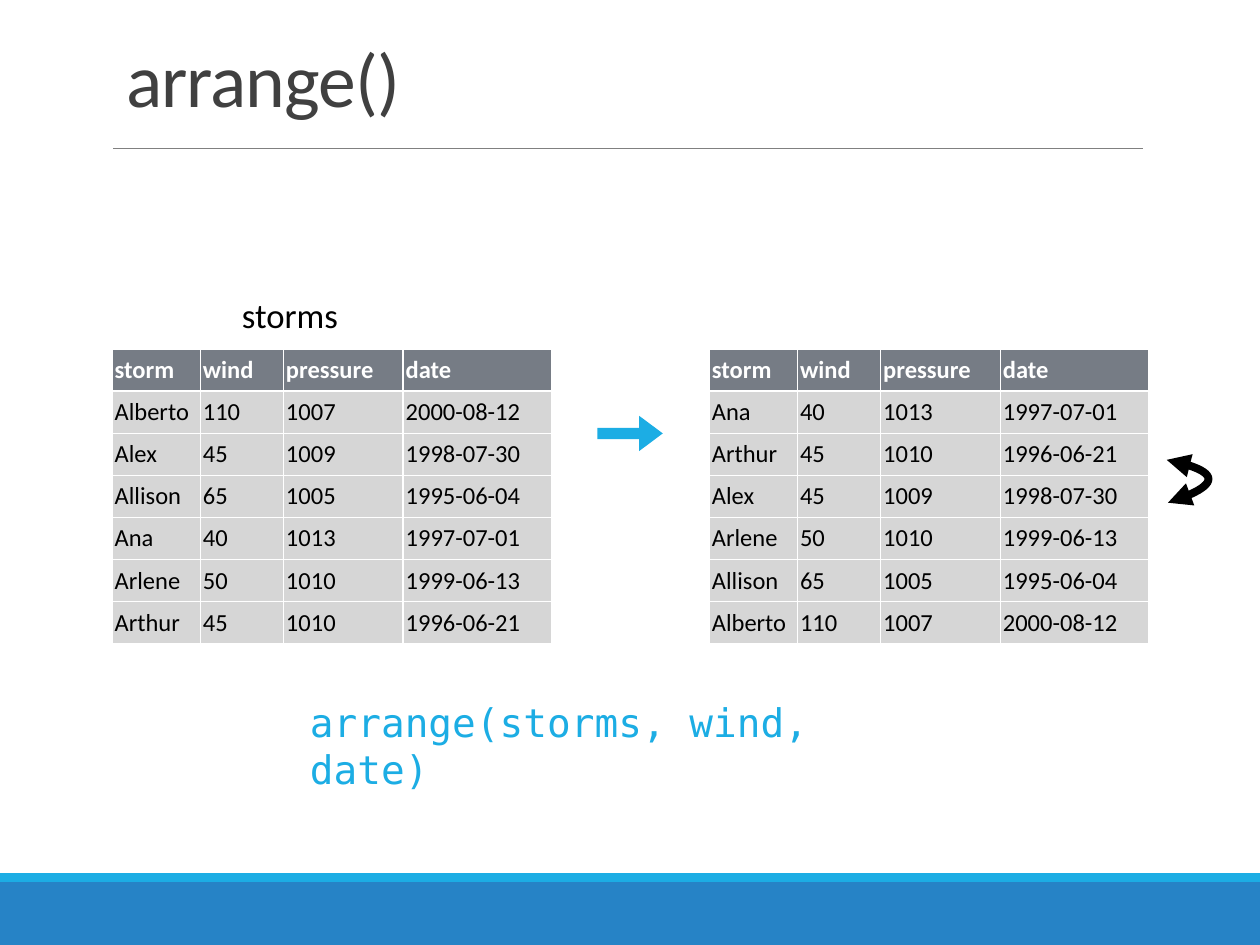
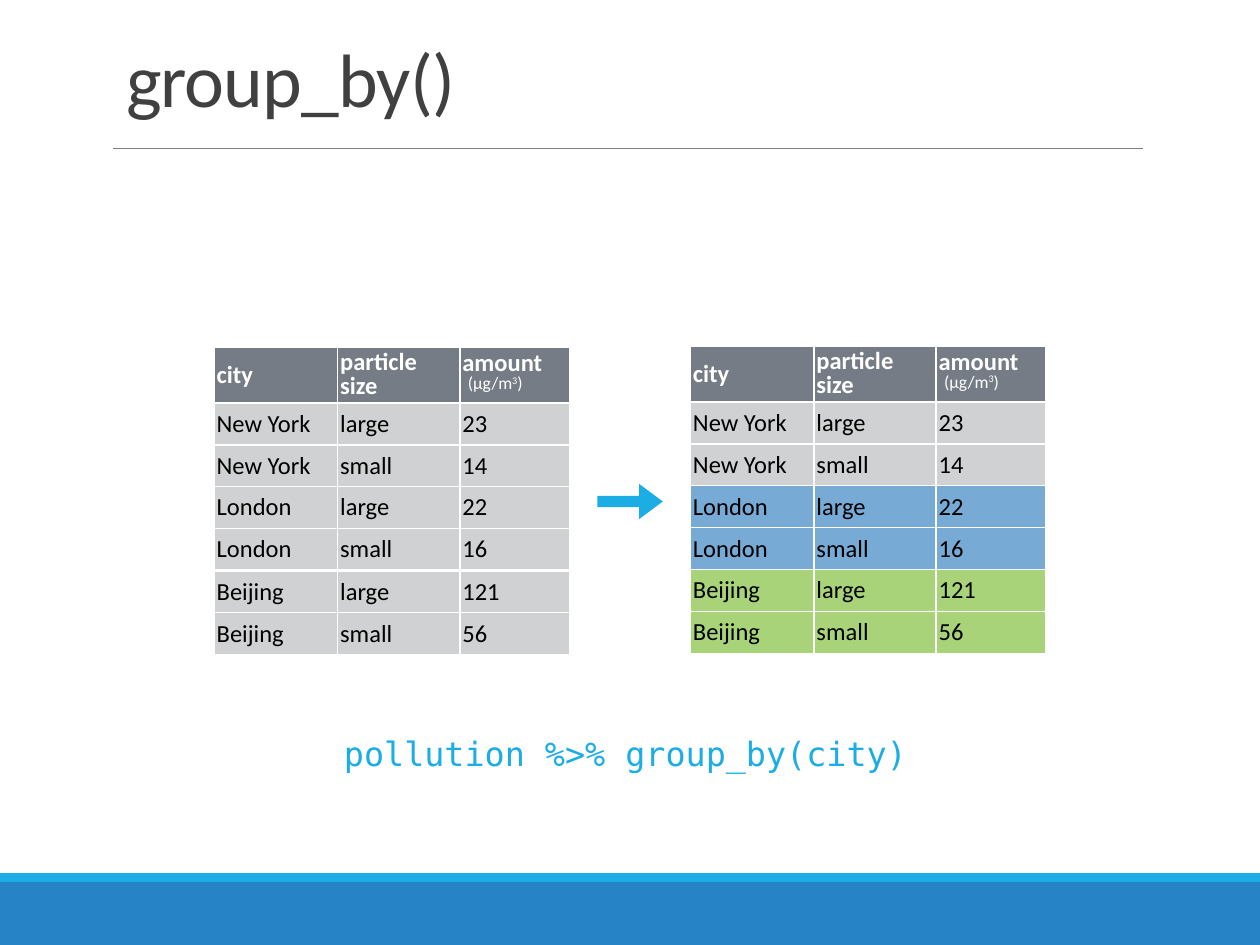
import dataclasses
import typing

import lxml.etree
import pptx
import pptx.dml.color
import pptx.enum.shapes
import pptx.enum.text
import pptx.oxml.ns
import pptx.util

RGBColor = pptx.dml.color.RGBColor
Pt = pptx.util.Pt
Anchor = pptx.enum.text.MSO_ANCHOR
Align = pptx.enum.text.PP_ALIGN
Preset = pptx.enum.shapes.MSO_SHAPE
qn = pptx.oxml.ns.qn

WHITE = RGBColor(0xFF, 0xFF, 0xFF)
BLACK = RGBColor(0, 0, 0)
TITLE_GREY = RGBColor(0x40, 0x40, 0x40)
RULE_GREY = RGBColor(0x80, 0x80, 0x80)
BAND_BLUE = RGBColor(0x26, 0x83, 0xC6)
ACCENT_BLUE = RGBColor(0x1C, 0xAD, 0xE4)
HEADER_SLATE = RGBColor(0x76, 0x7C, 0x85)
STORM_GREY = RGBColor(0xD6, 0xD6, 0xD6)
CITY_GREY = RGBColor(0xD0, 0xD1, 0xD2)
LONDON_BLUE = RGBColor(0x78, 0xAA, 0xD6)
BEIJING_GREEN = RGBColor(0xA8, 0xD3, 0x79)

SLIDE_WIDTH = pptx.util.Inches(10)
SLIDE_HEIGHT = pptx.util.Inches(7.5)
COLUMN = SLIDE_WIDTH / 100
ROW = SLIDE_HEIGHT / 75
BODY_FONT = "Calibri"
CODE_FONT = "DejaVu Sans Mono"


@dataclasses.dataclass(frozen=True)
class Box:
    left: float
    top: float
    width: float
    height: float

    def emu(self) -> tuple[int, int, int, int]:
        return (round(self.left * COLUMN), round(self.top * ROW),
                round(self.width * COLUMN), round(self.height * ROW))


@dataclasses.dataclass(frozen=True)
class Style:
    size: float
    color: RGBColor
    font: str = BODY_FONT
    bold: bool = False
    tracking: int = 0
    baseline: int = 0


@dataclasses.dataclass(frozen=True)
class Piece:
    text: str
    style: Style


@dataclasses.dataclass(frozen=True)
class Line:
    pieces: tuple[Piece, ...]
    spacing: float = 1.0
    before: float = 0


@dataclasses.dataclass(frozen=True)
class Row:
    cells: tuple[tuple[Line, ...], ...]
    fill: RGBColor
    height: float


HEADER = Style(14, WHITE, bold=True)
DATA = Style(14, BLACK)
UNIT_GAP = Style(14, WHITE)
UNIT = Style(10, WHITE)
UNIT_POWER = Style(10, WHITE, baseline=32000)
TITLE = Style(43.2, TITLE_GREY, tracking=-50)

STORM_WIDTHS = (7, 6.6, 9.5, 11.8)
CITY_WIDTHS = (9.8, 9.7, 8.7)
STORM_ROW = 23.4 / 7
CITY_ROW = 3.33
CITY_HEADER_ROW = 4.4

STORMS = (
    ("Alberto", "110", "1007", "2000-08-12"),
    ("Alex", "45", "1009", "1998-07-30"),
    ("Allison", "65", "1005", "1995-06-04"),
    ("Ana", "40", "1013", "1997-07-01"),
    ("Arlene", "50", "1010", "1999-06-13"),
    ("Arthur", "45", "1010", "1996-06-21"),
)
POLLUTION = {
    "New York": ("23", "14"),
    "London": ("22", "16"),
    "Beijing": ("121", "56"),
}
GROUP_FILLS = {"New York": CITY_GREY, "London": LONDON_BLUE, "Beijing": BEIJING_GREEN}


def line(text: str, style: Style, spacing: float = 1.0, before: float = 0) -> Line:
    return Line((Piece(text, style),), spacing, before)


def plain_row(texts: typing.Iterable[str], style: Style, fill: RGBColor, height: float) -> Row:
    return Row(tuple((line(text, style),) for text in texts), fill, height)


def city_rows(city: str, fill: RGBColor) -> list[Row]:
    return [plain_row((city, size, amount), DATA, fill, CITY_ROW)
            for size, amount in zip(("large", "small"), POLLUTION[city])]


CITY_HEADER = Row(
    (
        (line("city", HEADER),),
        (line("particle", HEADER, 0.8), line("size", HEADER, 0.8)),
        (
            line("amount", HEADER, 0.6),
            Line((Piece(" ", UNIT_GAP), Piece("(µg/m", UNIT),
                  Piece("3", UNIT_POWER), Piece(")", UNIT)), 0.6),
        ),
    ),
    HEADER_SLATE,
    CITY_HEADER_ROW,
)


def write(frame, lines: typing.Sequence[Line]) -> None:
    for index, content in enumerate(lines):
        paragraph = frame.paragraphs[0] if index == 0 else frame.add_paragraph()
        layout = {"alignment": Align.LEFT, "line_spacing": content.spacing,
                  "space_before": Pt(content.before)}
        for name, value in layout.items():
            setattr(paragraph, name, value)
        for piece in content.pieces:
            style = piece.style
            run = paragraph.add_run()
            run.text = piece.text
            formats = {"name": style.font, "size": Pt(style.size), "bold": style.bold}
            for name, value in formats.items():
                setattr(run.font, name, value)
            run.font.color.rgb = style.color
            for name, value in {"spc": style.tracking, "baseline": style.baseline}.items():
                if value:
                    run._r.get_or_add_rPr().set(name, str(value))


def set_margins(target, sides: float, ends: float) -> None:
    margins = {"margin_left": sides, "margin_right": sides,
               "margin_top": ends, "margin_bottom": ends}
    for name, inches in margins.items():
        setattr(target, name, pptx.util.Inches(inches))


def add_text(slide, box: Box, content: Line, anchor: Anchor = Anchor.TOP) -> None:
    frame = slide.shapes.add_textbox(*box.emu()).text_frame
    frame.word_wrap = True
    frame.vertical_anchor = anchor
    set_margins(frame, 0.03, 0.03)
    write(frame, [content])


def add_filled(slide, preset: Preset, box: Box, fill: RGBColor):
    shape = slide.shapes.add_shape(preset, *box.emu())
    shape.shadow.inherit = False
    shape.fill.solid()
    shape.fill.fore_color.rgb = fill
    shape.line.fill.background()
    return shape


def add_step_arrow(slide, top: float) -> None:
    arrow = add_filled(slide, Preset.RIGHT_ARROW, Box(47.4, top, 5.2, 2.8), ACCENT_BLUE)
    arrow.adjustments[0] = 0.32
    arrow.adjustments[1] = 0.67


def add_borders(cell) -> None:
    properties = cell._tc.get_or_add_tcPr()
    for side in ("a:lnL", "a:lnR", "a:lnT", "a:lnB"):
        border = lxml.etree.SubElement(properties, qn(side), w=str(Pt(1)))
        solid = lxml.etree.SubElement(border, qn("a:solidFill"))
        lxml.etree.SubElement(solid, qn("a:srgbClr"), val=str(WHITE))


def add_data_table(slide, left: float, top: float, widths: tuple[float, ...],
                   rows: typing.Sequence[Row]) -> None:
    box = Box(left, top, sum(widths), sum(row.height for row in rows))
    table = slide.shapes.add_table(len(rows), len(widths), *box.emu()).table
    table.first_row = table.horz_banding = False
    for column, width in zip(table.columns, widths):
        column.width = round(width * COLUMN)
    for index, row in enumerate(rows):
        table.rows[index].height = round(row.height * ROW)
        for position, lines in enumerate(row.cells):
            cell = table.cell(index, position)
            add_borders(cell)
            cell.fill.solid()
            cell.fill.fore_color.rgb = row.fill
            cell.vertical_anchor = Anchor.MIDDLE
            set_margins(cell, 0.02, 0.02)
            write(cell.text_frame, lines)


def add_storm_table(slide, left: float, storms: typing.Iterable[tuple[str, ...]]) -> None:
    header = plain_row(("storm", "wind", "pressure", "date"), HEADER, HEADER_SLATE, STORM_ROW)
    rows = [plain_row(storm, DATA, STORM_GREY, STORM_ROW) for storm in storms]
    add_data_table(slide, left, 27.7, STORM_WIDTHS, [header, *rows])


def add_swap_curve(slide) -> None:
    controls = ((92.7, 39.9), (97, 38.5), (97, 37.4), (92.6, 36.5))
    steps = 24

    def point(step: int) -> tuple[int, int]:
        t = step / steps
        weights = ((1 - t) ** 3, 3 * t * (1 - t) ** 2, 3 * t ** 2 * (1 - t), t ** 3)
        x = sum(weight * control[0] for weight, control in zip(weights, controls))
        y = sum(weight * control[1] for weight, control in zip(weights, controls))
        return round(x * COLUMN), round(y * ROW)

    builder = slide.shapes.build_freeform(*point(0))
    builder.add_line_segments([point(step) for step in range(1, steps + 1)], close=False)
    curve = builder.convert_to_shape()
    curve.shadow.inherit = False
    curve.fill.background()
    curve.line.color.rgb = BLACK
    curve.line.width = Pt(4.5)
    outline = curve.line._get_or_add_ln()
    for end in ("a:headEnd", "a:tailEnd"):
        lxml.etree.SubElement(outline, qn(end), type="triangle")


def add_verb_slide(deck, verb: str):
    slide = deck.slides.add_slide(deck.slide_layouts[5])
    add_filled(slide, Preset.RECTANGLE, Box(0, 70, 100, 5), BAND_BLUE)
    add_filled(slide, Preset.RECTANGLE, Box(0, 69.3, 100, 0.7), ACCENT_BLUE)
    rule_y = round(11.8 * ROW)
    rule = slide.shapes.add_connector(pptx.enum.shapes.MSO_CONNECTOR.STRAIGHT,
                                      round(9 * COLUMN), rule_y, round(90.7 * COLUMN), rule_y)
    rule.line.color.rgb = RULE_GREY
    rule.line.width = Pt(0.5)
    lxml.etree.SubElement(rule._element.spPr, qn("a:effectLst"))

    heading = slide.shapes.title
    heading.left, heading.top, heading.width, heading.height = Box(9, 3.1, 82.5, 7.2).emu()
    frame = heading.text_frame
    frame.auto_size = pptx.enum.text.MSO_AUTO_SIZE.NONE
    frame.word_wrap = True
    frame.vertical_anchor = Anchor.BOTTOM
    set_margins(frame, 0.1, 0.05)
    write(frame, [line(verb, TITLE, 0.85)])
    return slide


def build_arrange(deck) -> None:
    slide = add_verb_slide(deck, "arrange()")
    by_wind_and_date = sorted(STORMS, key=lambda storm: (int(storm[1]), storm[3]))
    add_storm_table(slide, 56.3, by_wind_and_date)
    add_storm_table(slide, 8.9, STORMS)
    add_step_arrow(slide, 33)
    add_text(slide, Box(18.9, 23.3, 9.6, 3.7),
             line("storms", Style(19.8, BLACK), 0.9, 21), Anchor.MIDDLE)
    add_text(slide, Box(24.3, 55.1, 51.5, 8.7),
             line("arrange(storms, wind, date)", Style(22.5, ACCENT_BLUE, CODE_FONT), before=4.5))
    add_swap_curve(slide)


def build_group_by(deck) -> None:
    slide = add_verb_slide(deck, "group_by()")
    blocks = (("Beijing", 45.3, []), ("New York", 27.6, [CITY_HEADER]), ("London", 38.6, []))
    for city, top, header in blocks:
        add_data_table(slide, 17, top, CITY_WIDTHS, header + city_rows(city, CITY_GREY))
    add_text(slide, Box(27, 57.9, 46.1, 4.6),
             line("pollution %>% group_by(city)", Style(19.1, ACCENT_BLUE, CODE_FONT), before=4.5))
    add_step_arrow(slide, 38.4)
    grouped = [row for city, fill in GROUP_FILLS.items() for row in city_rows(city, fill)]
    add_data_table(slide, 54.8, 27.5, CITY_WIDTHS, [CITY_HEADER, *grouped])


def main() -> None:
    deck = pptx.Presentation()
    deck.slide_width = SLIDE_WIDTH
    deck.slide_height = SLIDE_HEIGHT
    build_arrange(deck)
    build_group_by(deck)
    deck.save("out.pptx")


if __name__ == "__main__":
    main()
